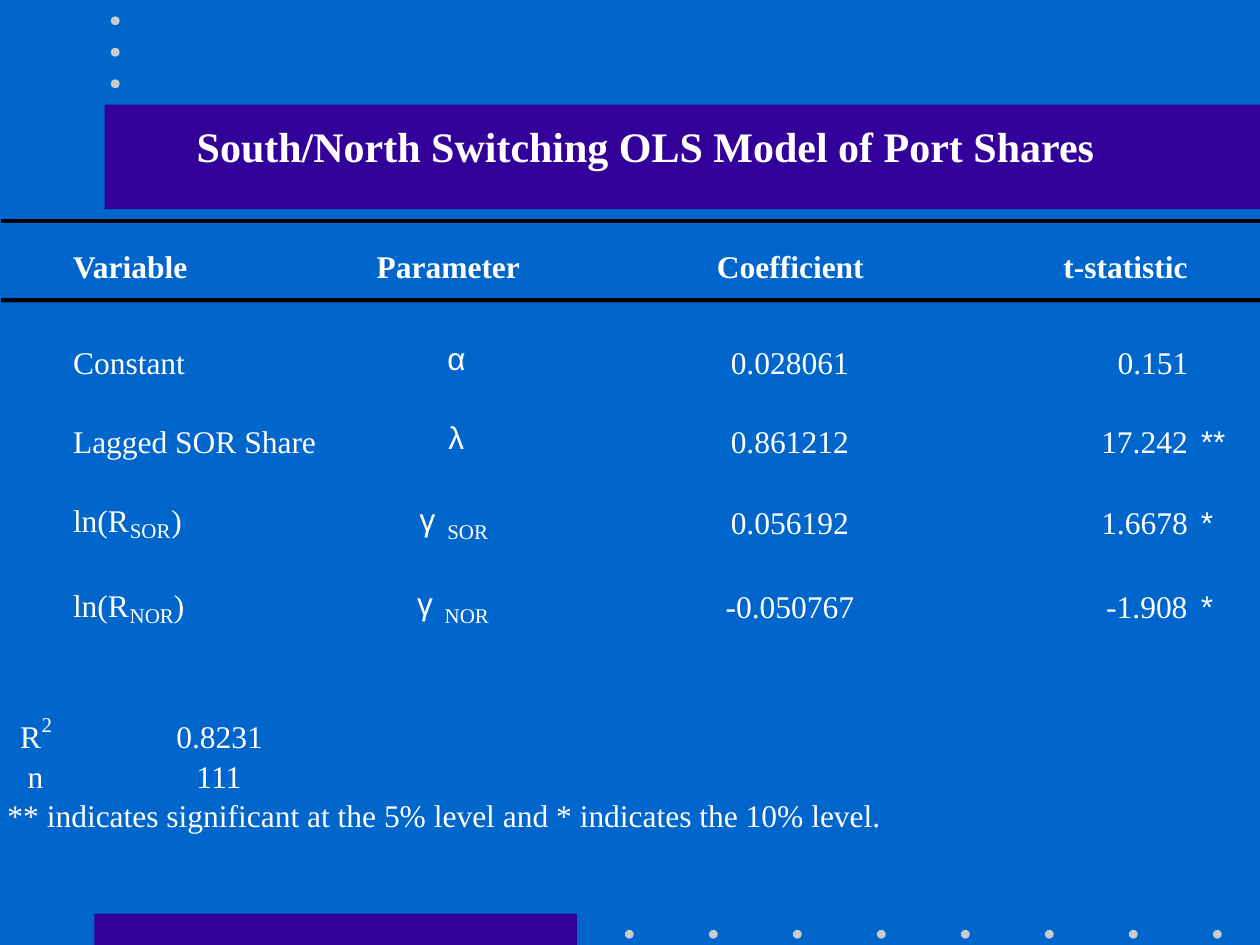
import pptx
import pptx.dml.color
import pptx.enum.shapes
import pptx.enum.text
import pptx.oxml
import pptx.oxml.ns
import pptx.util

EMU_PER_PX = 9144  # 100 px to the inch
BACKGROUND, BAND, DOT, WHITE, BLACK = "0066CC", "330099", "CBCBCB", "FFFFFF", "000000"
SERIF, SANS = "Times New Roman", "Arial"
RECTANGLE = pptx.enum.shapes.MSO_SHAPE.RECTANGLE
OVAL = pptx.enum.shapes.MSO_SHAPE.OVAL

# Column anchors
VARIABLE_LEFT, PARAMETER_CENTER, COEFFICIENT_CENTER = 58, 363, 627
STATISTIC_RIGHT, STAR_LEFT = 943, 953
SLACK = 2  # spare box width that keeps each label on one line

HEADERS = [("Variable", 58, 93), ("Parameter", 299, 114),
           ("Coefficient", 569, 117), ("t-statistic", 844, 99)]

# top, variable, parameter, coefficient, t-statistic (each text, width), stars
PLAIN_ROWS = [
    (272, ("Constant", 89), ("α", 16), ("0.028061", 94), ("0.151", 56), ""),
    (335, ("Lagged SOR Share", 193), ("λ", 14), ("0.861212", 94), ("17.242", 69), "**"),
]
# top, subscript (text, width), left of gamma, coefficient, t-statistic, stars
RATE_ROWS = [
    (399, ("SOR", 33), 333, ("0.056192", 94), ("1.6678", 69), "*"),
    (466, ("NOR", 35), 331, ("-0.050767", 102), ("-1.908", 65), "*"),
]
FOOTER = [("R", 16, 569, 17), ("0.8231", 140, 569, 69),
          ("n", 22, 601, 13), ("111", 156, 601, 38),
          ("** indicates significant at the 5% level and * indicates the 10% level.",
           6, 632, 694)]


def px(length):
    return pptx.util.Emu(round(length * EMU_PER_PX))


def color(hex_string):
    return pptx.dml.color.RGBColor.from_string(hex_string)


def write(paragraph, text, size=18, font=SERIF, bold=False, fill=WHITE):
    run = paragraph.add_run()
    run.text = text
    run.font.size = pptx.util.Pt(size)
    run.font.name = font
    run.font.bold = bold
    run.font.color.rgb = color(fill)


class Canvas:
    """The current slide and the ways of drawing on it."""

    def __init__(self, slide, background):
        self.slide = slide
        slide.background.fill.solid()
        slide.background.fill.fore_color.rgb = color(background)

    def shape(self, kind, left, top, width, height, fill):
        shape = self.slide.shapes.add_shape(kind, px(left), px(top), px(width), px(height))
        shape.shadow.inherit = False
        shape.fill.solid()
        shape.fill.fore_color.rgb = color(fill)
        shape.line.fill.background()

    def dot(self, left, top):
        self.shape(OVAL, left, top, 7, 7, DOT)

    def rule(self, top):
        """A hairline across the slide, thickened by a bar."""
        line = self.slide.shapes.add_connector(
            pptx.enum.shapes.MSO_CONNECTOR.STRAIGHT, px(1), px(top), px(1000), px(top))
        line.line.color.rgb = color(BLACK)
        line.line.width = 0
        line._element.spPr.append(pptx.oxml.parse_xml(
            "<a:effectLst %s/>" % pptx.oxml.ns.nsdecls("a")))
        self.shape(RECTANGLE, 1, top, 999, 2, BLACK)

    def text_box(self, left, top, width, height):
        box = self.slide.shapes.add_textbox(px(left), px(top), px(width), px(height))
        box.text_frame.auto_size = pptx.enum.text.MSO_AUTO_SIZE.SHAPE_TO_FIT_TEXT
        return box.text_frame

    def label(self, text, left, top, width, **text_format):
        """One line of text in a box without margins."""
        height = 20 if text_format.get("size") == 12 else 30
        frame = self.text_box(left, top, width + SLACK, height)
        frame.word_wrap = False
        frame.margin_left = frame.margin_right = frame.margin_top = frame.margin_bottom = 0
        write(frame.paragraphs[0], text, **text_format)

    def title(self, text):
        frame = self.text_box(0, 91, 1033, 50)
        frame.word_wrap = True
        frame.paragraphs[0].alignment = pptx.enum.text.PP_ALIGN.CENTER
        write(frame.paragraphs[0], text, size=24, bold=True)

    def results(self, top, coefficient, statistic, stars):
        text, width = coefficient
        self.label(text, COEFFICIENT_CENTER - width / 2, top, width)
        text, width = statistic
        self.label(text, STATISTIC_RIGHT - width, top, width)
        if stars:
            self.label(stars, STAR_LEFT, top, 10 * len(stars), font=SANS)


def draw_frame(canvas):
    canvas.shape(RECTANGLE, 75, 725, 383, 25, BAND)
    for index in range(8):
        canvas.dot(496 + index * 200 / 3, 738)
    canvas.shape(RECTANGLE, 83, 83, 917, 83, BAND)
    for index in range(3):
        canvas.dot(88, 13 + index * 25)


def draw_results(canvas):
    for text, left, width in HEADERS:
        canvas.label(text, left, 196, width, bold=True)
    for top, variable, parameter, coefficient, statistic, stars in PLAIN_ROWS:
        text, width = variable
        canvas.label(text, VARIABLE_LEFT, top, width)
        text, width = parameter
        canvas.label(text, PARAMETER_CENTER - width / 2, top - 3, width, font=SANS)
        canvas.results(top, coefficient, statistic, stars)
    for top, (subscript, width), gamma_left, coefficient, statistic, stars in RATE_ROWS:
        canvas.label("ln(R", VARIABLE_LEFT, top - 1, 45)
        canvas.label(subscript, VARIABLE_LEFT + 45, top + 12, width, size=12)
        canvas.label(")", VARIABLE_LEFT + 45 + width, top - 1, 8)
        canvas.label("γ", gamma_left, top - 2.5, 27, font=SANS)
        canvas.label(subscript, gamma_left + 22, top + 12.5, width, size=12)
        canvas.results(top, coefficient, statistic, stars)
    for text, left, top, width in FOOTER:
        canvas.label(text, left, top, width)
    canvas.label("2", 33, 565, 8, size=12)
    for top in (175, 238):
        canvas.rule(top)


def main():
    presentation = pptx.Presentation()
    presentation.slide_width, presentation.slide_height = px(1000), px(750)
    slide = presentation.slides.add_slide(presentation.slide_layouts[6])
    canvas = Canvas(slide, BACKGROUND)
    draw_frame(canvas)
    draw_results(canvas)
    canvas.title("South/North Switching OLS Model of Port Shares ")
    presentation.save("out.pptx")


if __name__ == "__main__":
    main()
